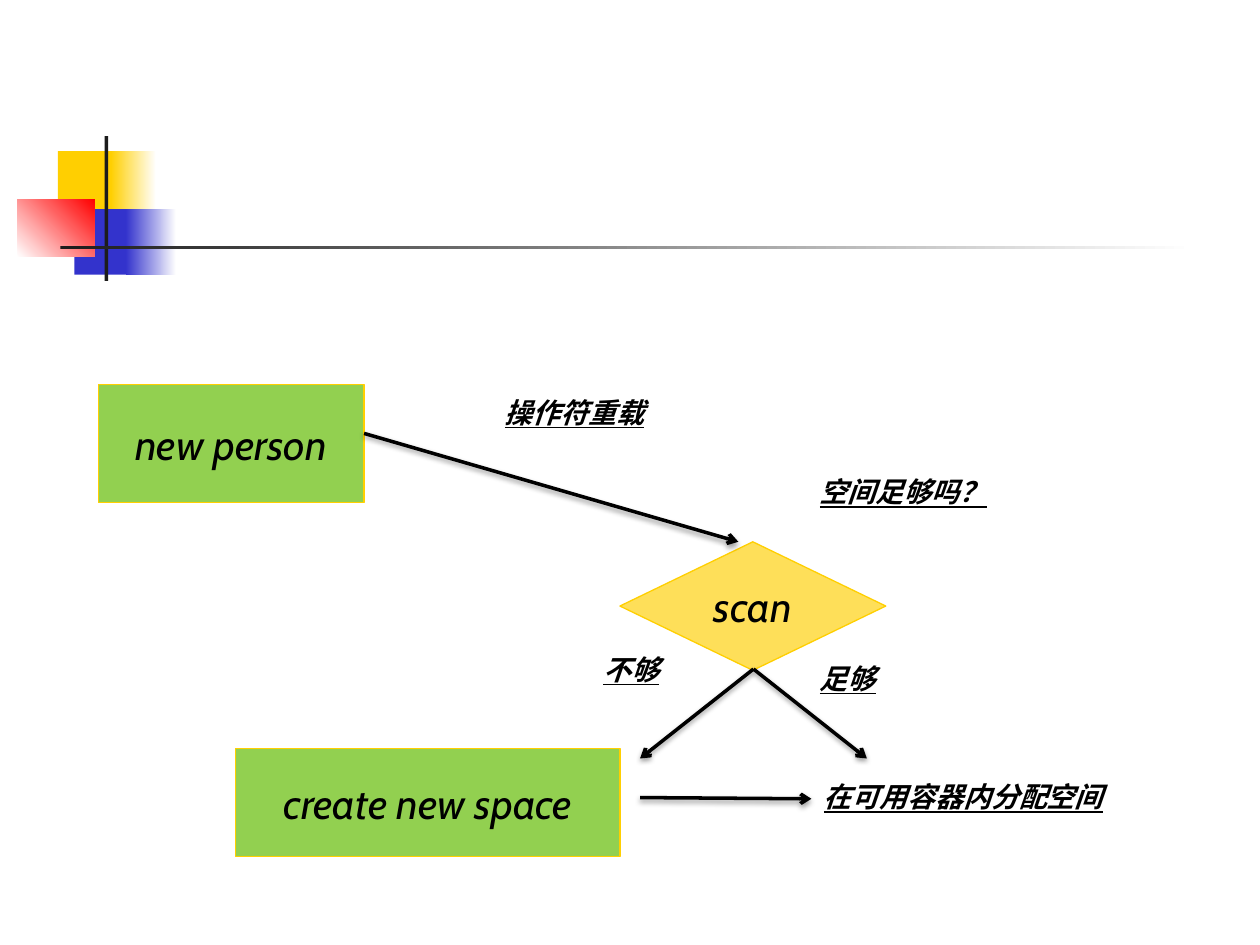
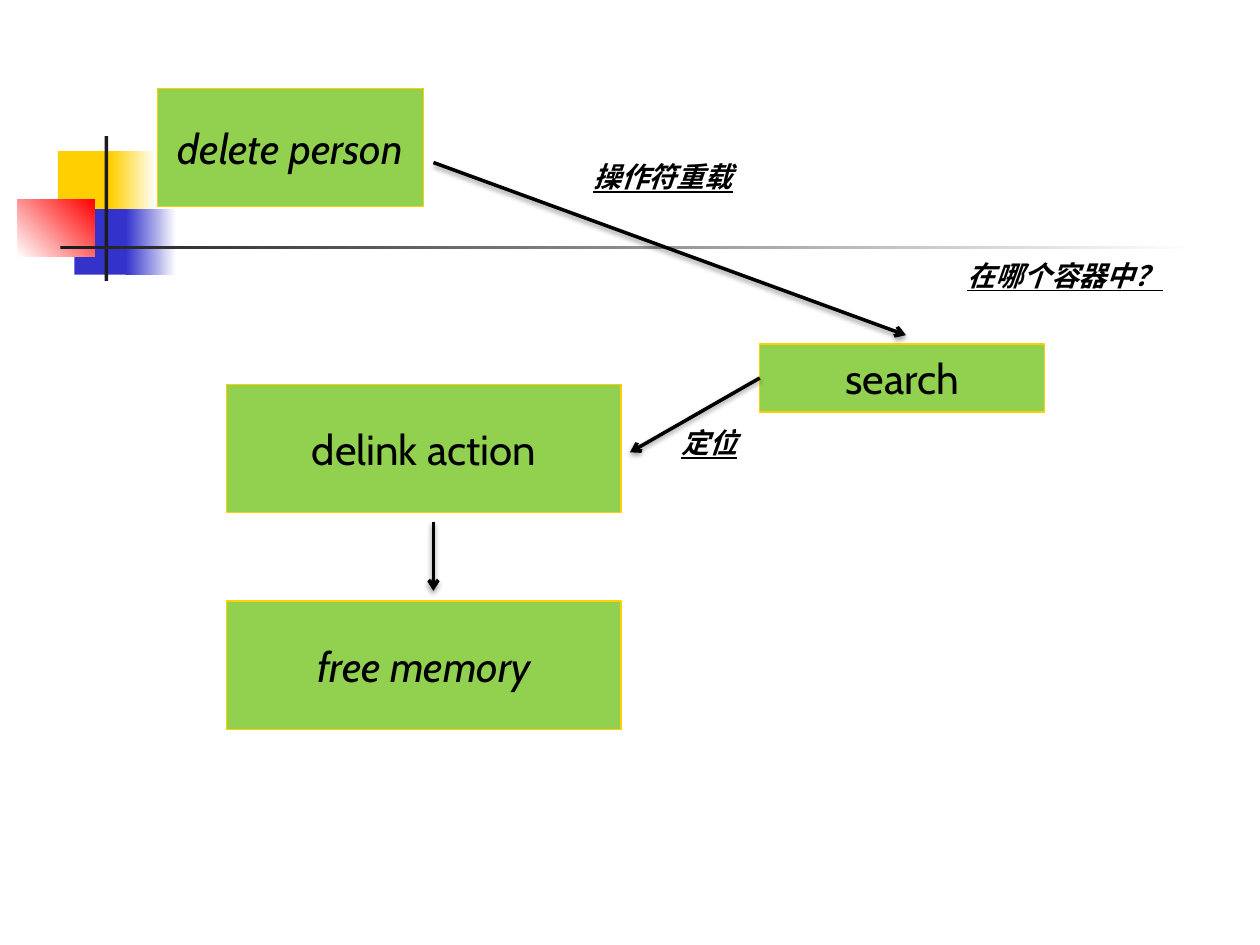
from lxml.etree import SubElement as Sub
from pptx import Presentation
from pptx.dml.color import RGBColor as Rgb
from pptx.enum.shapes import MSO_CONNECTOR as Link, MSO_SHAPE as Kind
from pptx.enum.text import MSO_ANCHOR as Anchor, MSO_AUTO_SIZE as Fit, PP_ALIGN as Align
from pptx.oxml.ns import qn
from pptx.util import Inches, Pt

HUES = {
    "white": "FFFFFF", "black": "000000", "ink": "1C1C1C", "gold": "FFCF01",
    "blue": "3333CC", "red": "FF0000", "green": "92D050", "sand": "FEDF59",
}
FONT = "Cabin"
SIDE = (2.11, 0.94)
WIDE = (3.13, 1.02)


def hue(name):
    """Return the named colour."""
    return Rgb.from_string(HUES[name])


def block(slide, kind, box, fill, end=None, angle=0):
    """Add a plain shape with a solid fill or a two-colour gradient."""
    shape = slide.shapes.add_shape(kind, *map(Inches, box))
    shape.shadow.inherit = False
    shape.line.fill.background()
    if end:
        shape.fill.gradient()
        shape.fill.gradient_angle = angle
        for stop, name in zip(shape.fill.gradient_stops, (fill, end)):
            stop.color.rgb = hue(name)
    else:
        shape.fill.solid()
        shape.fill.fore_color.rgb = hue(fill)
    return shape


def style(para, size, italic=True, strong=False):
    """Format the runs of a paragraph."""
    for run in para.runs:
        font = run.font
        font.name, font.size, font.italic = FONT, Pt(size), italic
        font.bold = font.underline = strong
        font.color.rgb = hue("black")


def node(slide, left, top, size, text, kind=Kind.RECTANGLE, fill="green", italic=True):
    """Add one captioned step of a flow."""
    shape = block(slide, kind, (left, top, *size), fill)
    shape.line.color.rgb = hue("gold")
    shape.line.width = Pt(0.75)
    frame = shape.text_frame
    frame.text = text
    frame.word_wrap = False
    frame.vertical_anchor = Anchor.MIDDLE
    para = frame.paragraphs[0]
    para.alignment = Align.CENTER
    style(para, 24, italic)


def label(slide, left, top, text):
    """Add an underlined note as wide as its characters."""
    wide = 0.2 + 0.226 * len(text)
    box = slide.shapes.add_textbox(*map(Inches, (left, top, wide, 0.34)))
    frame = box.text_frame
    frame.text = text
    frame.word_wrap = False
    frame.auto_size = Fit.SHAPE_TO_FIT_TEXT
    para = frame.paragraphs[0]
    para.line_spacing = 0.9
    style(para, 16, strong=True)


def arrow(slide, left, top, start, end):
    """Add a shadowed arrow between two points measured from a corner."""
    ends = [Inches(base + step) for point in (start, end)
            for base, step in zip((left, top), point)]
    link = slide.shapes.add_connector(Link.STRAIGHT, *ends)
    link.line.color.rgb = hue("black")
    link.line.width = Pt(2)
    props = link._element.spPr
    Sub(props.find(qn("a:ln")), qn("a:tailEnd"), type="arrow")
    shade = Sub(Sub(props, qn("a:effectLst")), qn("a:outerShdw"), blurRad=str(Pt(3.1)),
                dist=str(Pt(1.6)), dir="5400000", rotWithShape="0")
    tint = Sub(shade, qn("a:srgbClr"), val=HUES["black"])
    Sub(tint, qn("a:alpha"), val="38000")


def motif(slide, left, top):
    """Draw the coloured squares and the crossing bars."""
    for x, y, wide, high, *fill in (
        (0.32, 0.12, 0.48, 0.52, "gold"),
        (0.74, 0.12, 0.36, 0.52, "gold", "white"),
        (0.45, 0.58, 0.46, 0.52, "blue"),
        (0.86, 0.58, 0.4, 0.52, "blue", "white"),
        (0, 0.5, 0.61, 0.46, "white", "red", 45),
        (0.69, 0, 0.03, 1.15, "ink"),
        (0.34, 0.87, 9, 0.03, "ink", "white"),
    ):
        block(slide, Kind.RECTANGLE, (left + x, top + y, wide, high), *fill)


def create(slide, left, top):
    """Draw the flow that makes a new person."""
    node(slide, left, top, SIDE, "new person")
    node(slide, left + 4.14, top + 1.25, (2.11, 1.02), "scan",
         Kind.FLOWCHART_DECISION, "sand")
    node(slide, left + 1.09, top + 2.89, (3.05, 0.86), "create new space")
    fork = (5.2, 2.26)
    for start, end in (
        ((2.11, 0.39), (5.08, 1.25)),
        (fork, (4.3, 2.97)),
        (fork, (6.1, 2.97)),
        ((4.3, 3.28), (5.66, 3.29)),
    ):
        arrow(slide, left, top, start, end)
    for x, y, text in (
        (3.13, 0.07, "操作符重载"),
        (5.63, 0.7, "空间足够吗？"),
        (5.63, 2.18, "足够"),
        (5.66, 3.12, "在可用容器内分配空间"),
        (3.91, 2.11, "不够"),
    ):
        label(slide, left + x, top + y, text)


def delete(slide, left, top):
    """Draw the flow that removes a person."""
    node(slide, left, top, SIDE, "delete person")
    node(slide, left + 4.78, top + 2.03, (2.26, 0.54), "search", italic=False)
    node(slide, left + 0.55, top + 2.35, WIDE, "delink action", italic=False)
    node(slide, left + 0.55, top + 4.07, WIDE, "free memory")
    for start, end in (
        ((2.19, 0.59), (5.94, 1.96)),
        ((4.78, 2.3), (3.75, 2.89)),
        ((2.19, 3.44), (2.19, 3.99)),
    ):
        arrow(slide, left, top, start, end)
    for x, y, text in (
        (3.36, 0.55, "操作符重载"),
        (6.33, 1.33, "在哪个容器中？"),
        (4.06, 2.66, "定位"),
    ):
        label(slide, left + x, top + y, text)


def main():
    """Build and save the deck."""
    deck = Presentation()
    deck.slide_width, deck.slide_height = Inches(10), Inches(7.5)
    for draw, left, top in ((create, 0.78, 3.05), (delete, 1.25, 0.7)):
        slide = deck.slides.add_slide(deck.slide_layouts[6])
        motif(slide, 0.14, 1.08)
        draw(slide, left, top)
    deck.save("out.pptx")


if __name__ == "__main__":
    main()
